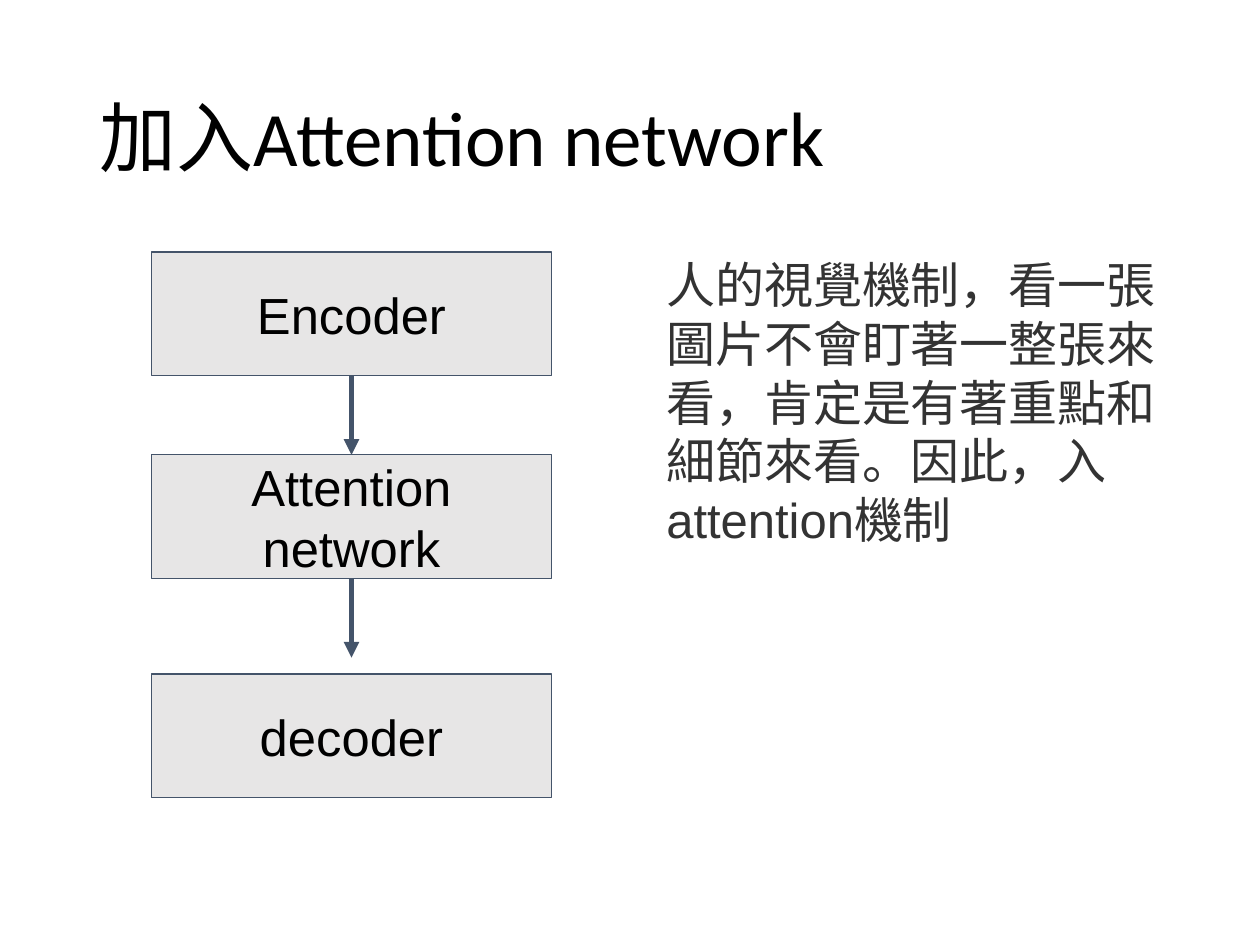
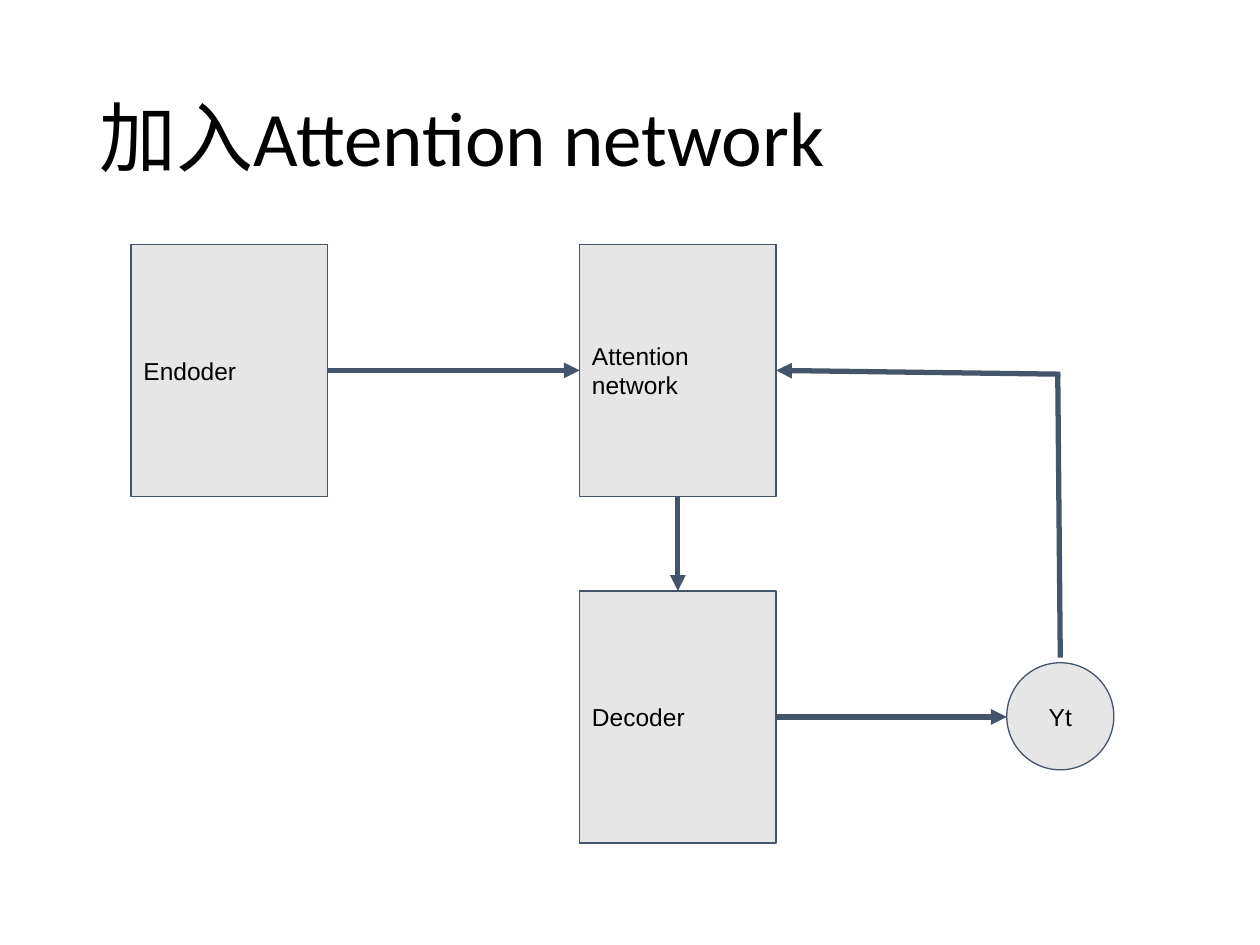
from lxml import etree
from pptx import Presentation
from pptx import util as u
from pptx.dml.color import RGBColor
from pptx.enum import shapes, text
from pptx.oxml import ns

BLACK, BODY, PANEL, SLATE = "000000", "333333", "E7E6E6", "44546A"
TITLE = "加入Attention network"
RECT, OVAL = shapes.MSO_SHAPE.RECTANGLE, shapes.MSO_SHAPE.OVAL
LEFT, CENTER = text.PP_ALIGN.LEFT, text.PP_ALIGN.CENTER
TOP, MIDDLE = text.MSO_ANCHOR.TOP, text.MSO_ANCHOR.MIDDLE


def write_text(box, paragraphs, size, color=BLACK, align=LEFT, anchor=MIDDLE,
               inset=0.1, spacing=None):
    """Fill a shape with paragraphs, each a list of (words, font) runs."""
    frame = box.text_frame
    frame.word_wrap = True
    frame.vertical_anchor = anchor
    frame.margin_left = frame.margin_right = u.Inches(0.1)
    frame.margin_top = frame.margin_bottom = u.Inches(inset)
    for index, runs in enumerate(paragraphs):
        para = frame.add_paragraph() if index else frame.paragraphs[0]
        para.alignment = align
        para.line_spacing = spacing
        for words, font in runs:
            span = para.add_run()
            span.text = words
            span.font.name = font
            span.font.size = u.Pt(size)
            span.font.color.rgb = RGBColor.from_string(color)


def draw_line(page, start, end, arrow=True):
    line = page.shapes.add_connector(
        shapes.MSO_CONNECTOR.STRAIGHT, *map(u.Inches, start + end))
    line.line.width = u.Pt(3)
    line.line.color.rgb = RGBColor.from_string(SLATE)
    if arrow:
        etree.SubElement(line.line._get_or_add_ln(), ns.qn("a:tailEnd"), type="triangle")
    etree.SubElement(line._element.spPr, ns.qn("a:effectLst"))


deck = Presentation()
deck.slide_width, deck.slide_height = u.Inches(10), u.Inches(7.5)

# Stack on the first slide: one column of wide boxes
stack_left, stack_width, stack_height = 1.2, 3.18, 0.98
stack_tops = [2, 3.61, 5.35]
stack_names = ["Encoder", "Attention network", "decoder"]
stack = [(RECT, stack_left, top, stack_width, stack_height, [name], 29, CENTER)
         for top, name in zip(stack_tops, stack_names)]

# Loop on the second slide: tall boxes and the output circle
block_width, block_height = 1.56, 2
encoder_left, attention_left, output_left = 1.04, 4.6, 7.99
upper_top, lower_top, output_top, output_size = 1.94, 4.69, 5.26, 0.85
loop = [(RECT, left, top, block_width, block_height, lines, 14, LEFT)
        for left, top, lines in [
            (encoder_left, upper_top, ["Endoder"]),
            (attention_left, upper_top, ["Attention", "network"]),
            (attention_left, lower_top, ["Decoder"])]]
loop.append((OVAL, output_left, output_top, output_size, output_size, ["Yt"], 14, CENTER))

pages = []
for blocks in (stack, loop):
    page = deck.slides.add_slide(deck.slide_layouts[6])
    pages.append(page)
    title = page.shapes.add_textbox(*map(u.Inches, (0.69, 0.4, 8.62, 1.45)))
    write_text(title, [[(TITLE, "Calibri")]], 44, inset=0.05, spacing=0.9)
    for kind, left, top, width, height, lines, size, align in blocks:
        block = page.shapes.add_shape(kind, *map(u.Inches, (left, top, width, height)))
        block.shadow.inherit = False
        block.fill.solid()
        block.fill.fore_color.rgb = RGBColor.from_string(PANEL)
        block.line.color.rgb = RGBColor.from_string(SLATE)
        block.line.width = u.Pt(0.75)
        write_text(block, [[(line, "Arial")] for line in lines], size, align=align)

stack_page, loop_page = pages

# Slide 1: arrows down the stack, and the explanation beside it
stack_center = stack_left + stack_width / 2
for top in stack_tops[:2]:
    bottom = top + stack_height
    draw_line(stack_page, (stack_center, bottom), (stack_center, bottom + 0.63))

explanation = stack_page.shapes.add_textbox(*map(u.Inches, (5.19, 1.92, 4.29, 2.56)))
write_text(explanation, [[
    ("人的視覺機制，看一張圖片不會盯著一整張來看，肯定是有著重點和細節來看。因此，入",
     "Times New Roman"),
    ("attention", "Arial"),
    ("機制", "Times New Roman"),
]], 28, color=BODY, anchor=TOP)

# Slide 2: encoder to attention to decoder to output, and back to attention
upper_middle = upper_top + block_height / 2
lower_middle = lower_top + block_height / 2
attention_right = attention_left + block_width
attention_center = attention_left + block_width / 2
output_center = output_left + output_size / 2
corner_y = upper_middle + 0.03
draw_line(loop_page, (encoder_left + block_width, upper_middle), (attention_left, upper_middle))
draw_line(loop_page, (attention_center, upper_top + block_height), (attention_center, lower_top))
draw_line(loop_page, (attention_right, lower_middle), (output_left, lower_middle))
draw_line(loop_page, (output_center, output_top - 0.04), (output_center - 0.02, corner_y),
          arrow=False)
draw_line(loop_page, (output_center, corner_y), (attention_right, upper_middle))

deck.save("out.pptx")
